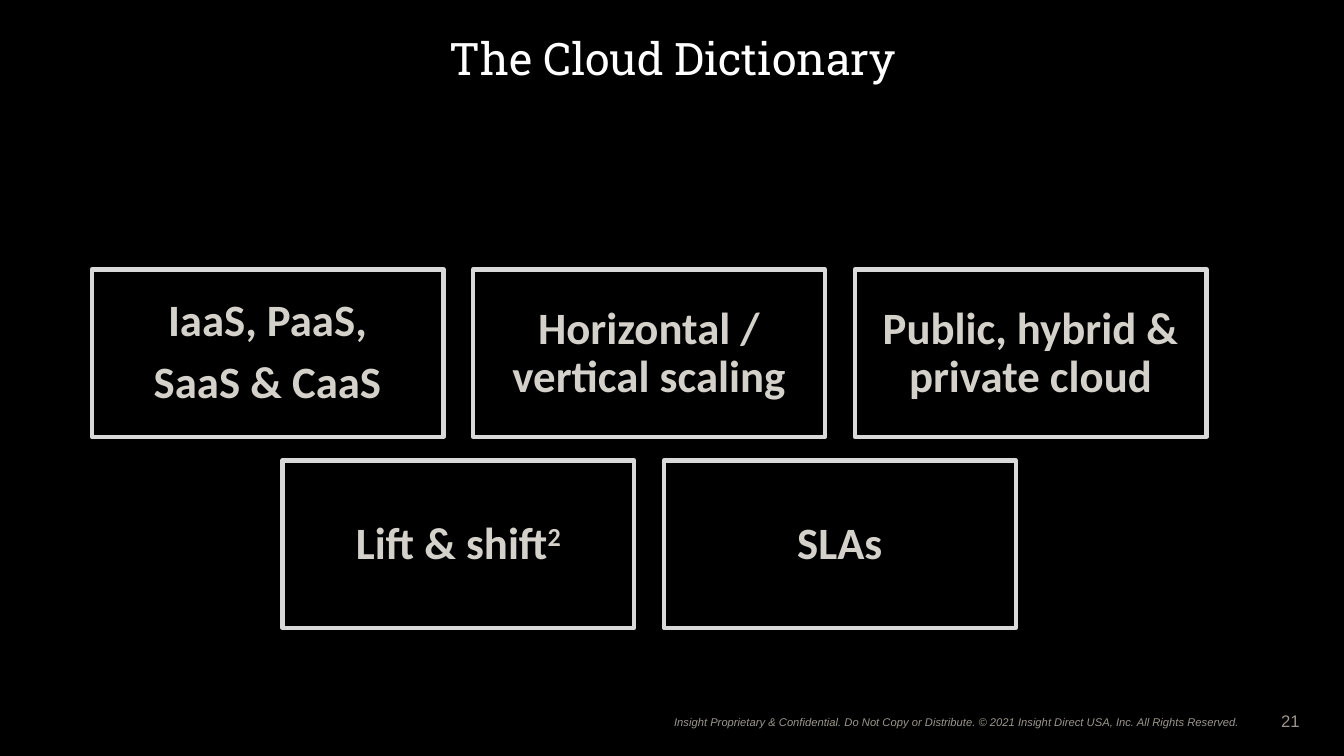
from pptx import Presentation
from pptx.dml.color import RGBColor
from pptx.enum.shapes import MSO_SHAPE as Shape
from pptx.enum.text import MSO_ANCHOR as Anchor, PP_ALIGN as Align
from pptx.util import Pt

BLACK = RGBColor(0x00, 0x00, 0x00)
WHITE = RGBColor(0xFF, 0xFF, 0xFF)
BORDER = RGBColor(0xD9, 0xD9, 0xD9)
TERM = RGBColor(0xD4, 0xD0, 0xCA)
FOOTER = RGBColor(0x9C, 0x96, 0x8E)

CARD_WIDTH, CARD_HEIGHT = 251.3, 119.5
COLUMN_STEP = 272.5
FIRST_LEFT = 65.5
LINE_HEIGHT = 36.7

# Each row: top, left, then per card the gap above its text and its paragraphs.
# A paragraph is a list of (text, superscript) runs.
CARD_ROWS = [
    (192.5, FIRST_LEFT, [
        (16.3, [[("IaaS, PaaS,", False)], [("SaaS & CaaS", False)]]),
        (22.3, [[("Horizontal / vertical scaling", False)]]),
        (22.3, [[("Public, hybrid & private cloud", False)]]),
    ]),
    (329, FIRST_LEFT + COLUMN_STEP / 2, [
        (39.6, [[("Lift & shift", False), ("2", True)]]),
        (39.6, [[("SLAs", False)]]),
    ]),
]


def add_text(slide, left, top, width, height, paragraphs, size, font_name, color,
             align=Align.CENTER, line_spacing=0.9, bold=False, italic=False):
    box = slide.shapes.add_textbox(Pt(left), Pt(top), Pt(width), Pt(height))
    frame = box.text_frame
    frame.word_wrap = True
    frame.vertical_anchor = Anchor.TOP
    for index, runs in enumerate(paragraphs):
        paragraph = frame.add_paragraph() if index else frame.paragraphs[0]
        paragraph.alignment = align
        paragraph.line_spacing = line_spacing
        paragraph.space_before = Pt(10 if index else 0)
        for text, superscript in runs:
            run = paragraph.add_run()
            run.text = text
            font = run.font
            font.name, font.size = font_name, Pt(size)
            font.bold, font.italic = bold, italic
            font.color.rgb = color
            if superscript:
                font._element.set("baseline", "30000")


def add_card(slide, left, top, text_gap, paragraphs):
    card = slide.shapes.add_shape(
        Shape.RECTANGLE, Pt(left), Pt(top), Pt(CARD_WIDTH), Pt(CARD_HEIGHT))
    card.shadow.inherit = False
    card.fill.background()
    card.line.color.rgb = BORDER
    card.line.width = Pt(3)
    text_height = LINE_HEIGHT if len(paragraphs) == 1 else 87
    add_text(slide, left, top + text_gap, CARD_WIDTH, text_height,
             paragraphs, 32, "Calibri", TERM, bold=True)


def main():
    presentation = Presentation()
    presentation.slide_width, presentation.slide_height = Pt(960), Pt(540)
    slide = presentation.slides.add_slide(presentation.slide_layouts[6])
    slide.background.fill.solid()
    slide.background.fill.fore_color.rgb = BLACK

    # Footer and page number
    notice = ("Insight Proprietary & Confidential. Do Not Copy or Distribute. "
              "© 2021 Insight Direct USA, Inc. All Rights Reserved.")
    add_text(slide, 338.4, 507.6, 554.4, 17, [[(notice, False)]], 8, "Arial",
             FOOTER, align=Align.RIGHT, line_spacing=1, italic=True)
    add_text(slide, 908, 504, 50, 21.8, [[("21", False)]], 12, "Arial",
             FOOTER, align=Align.LEFT, line_spacing=1)

    # Title
    add_text(slide, 56, 23, 849.6, 42.5, [[("The Cloud Dictionary", False)]],
             32, "Roboto Slab", WHITE)

    # Dictionary cards
    for top, left, cards in CARD_ROWS:
        for column, (text_gap, paragraphs) in enumerate(cards):
            add_card(slide, left + column * COLUMN_STEP, top, text_gap, paragraphs)

    presentation.save("out.pptx")


if __name__ == "__main__":
    main()
